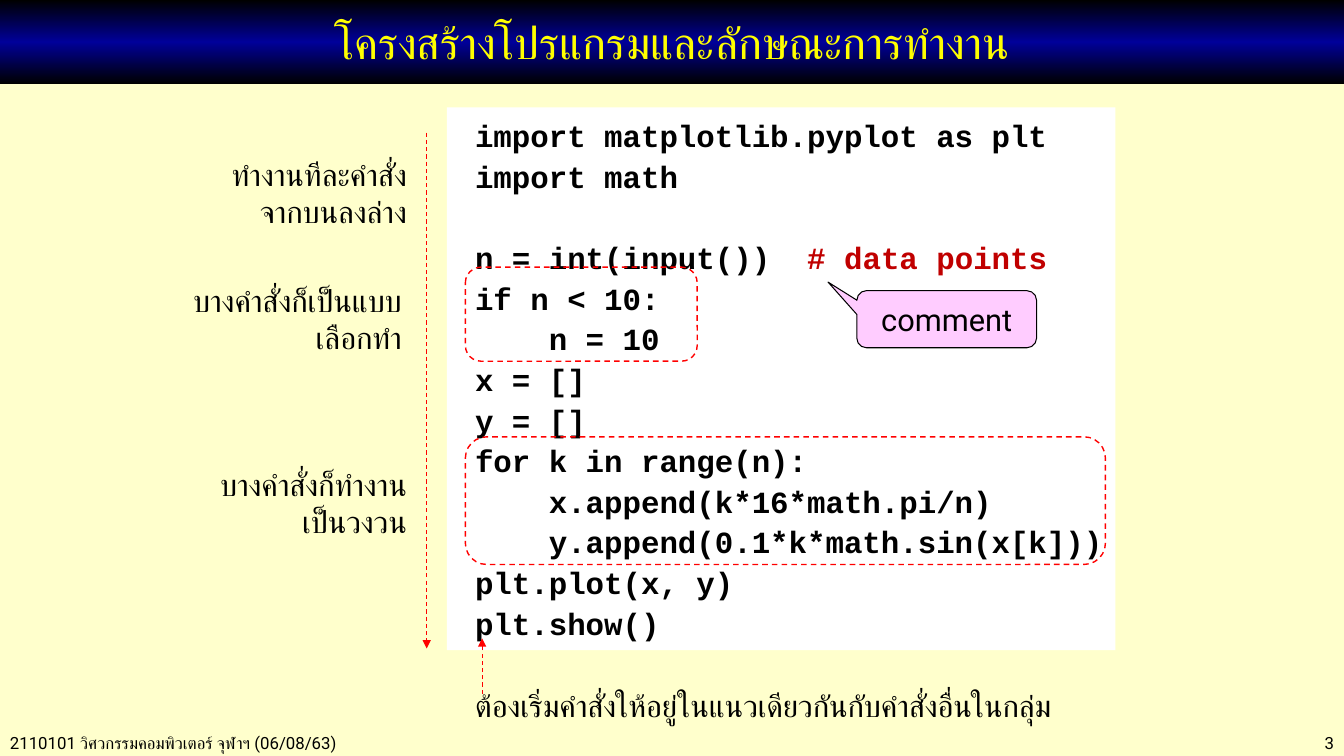
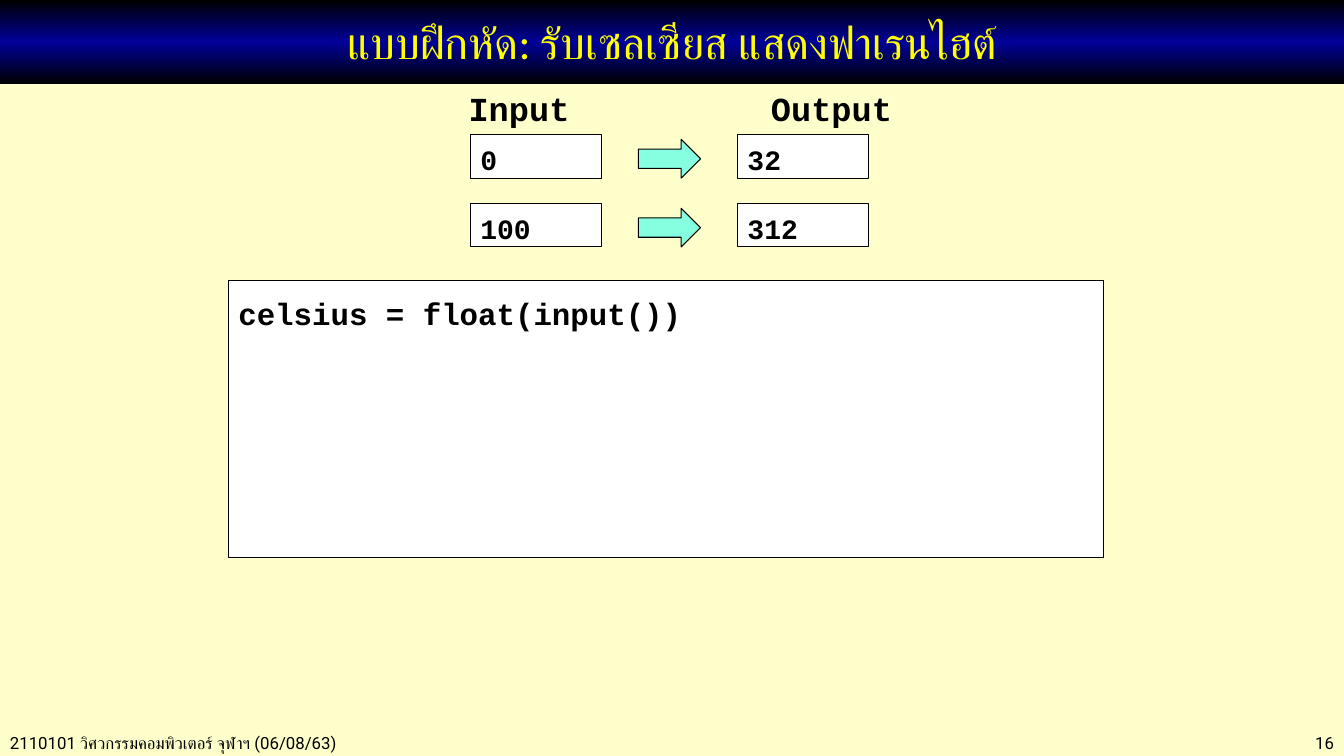
from copy import deepcopy
from dataclasses import dataclass

from lxml import etree
from pptx import Presentation, util as u
from pptx.dml.color import RGBColor
from pptx.enum import dml, shapes, text
from pptx.oxml.ns import qn


@dataclass(frozen=True)
class Theme:
    page: str = "FFFFCC"
    paper: str = "FFFFFF"
    ink: str = "000000"
    title: str = "FFFF00"
    band: tuple = (("000000", 0), ("000099", 0.5), ("000000", 1))
    comment: str = "C00000"
    mark: str = "FF0000"
    callout: str = "FFCCFF"
    arrow: str = "85FFE0"
    title_font: str = "Calibri"
    code_font: str = "Courier New"
    plain_font: str = "Roboto"
    title_size: int = 32
    heading_size: int = 24
    body_size: int = 22
    value_size: int = 20
    footer_size: int = 12
    code_leading: float = 1.32


theme = Theme()
SHAPE, ALIGN, ANCHOR = shapes.MSO_SHAPE, text.PP_ALIGN, text.MSO_ANCHOR
WIDTH, HEIGHT = u.Inches(13.33), u.Inches(7.5)
COLUMNS, ROWS = 400, 225


def draw(page, kind, cells, fill=None, line=None, weight=0.75, dash=False):
    """Place a shape, or a text box when kind is None; cells are left, top, width, height."""
    left, top, width, height = cells
    area = (int(WIDTH * left / COLUMNS), int(HEIGHT * top / ROWS),
            int(WIDTH * width / COLUMNS), int(HEIGHT * height / ROWS))
    if kind is None:
        return page.shapes.add_textbox(*area)
    shape = page.shapes.add_shape(kind, *area)
    shape.shadow.inherit = False
    if fill:
        shape.fill.solid()
        shape.fill.fore_color.rgb = RGBColor.from_string(fill)
    else:
        shape.fill.background()
    if line:
        shape.line.color.rgb = RGBColor.from_string(line)
        shape.line.width = u.Pt(weight)
        if dash:
            shape.line.dash_style = dml.MSO_LINE.DASH
    else:
        shape.line.fill.background()
    return shape


def write(box, words, font, size, color=theme.ink, align=ALIGN.LEFT,
          anchor=ANCHOR.TOP, code=False):
    """Fill a box with one paragraph per line; code is bold, evenly led, with coloured comments."""
    frame = box.text_frame
    frame.word_wrap = True
    frame.vertical_anchor = anchor
    leading = u.Pt(round(size * theme.code_leading))
    gap = 0
    for line in words.split("\n"):
        if not line:
            gap += leading
            continue
        para = frame.paragraphs[0]
        if para.runs:
            para = frame.add_paragraph()
        statement, sign, remark = line.partition("#") if code else (line, "", "")
        para.text = statement
        para.alignment = align
        para.font.name, para.font.size, para.font.bold = font, u.Pt(size), code
        para.font.color.rgb = RGBColor.from_string(color)
        if code:
            para.line_spacing = leading
        if gap:
            para.space_before = u.Emu(gap)
            gap = 0
        if sign:
            span = para.add_run()
            span.text = sign + remark
            span.font.color.rgb = RGBColor.from_string(theme.comment)


deck = Presentation()
deck.slide_width, deck.slide_height = WIDTH, HEIGHT

# Shared frame: background, title band, footer
pages = []
for title, number in [("โครงสร้างโปรแกรมและลักษณะการทำงาน", "3"),
                      ("แบบฝึกหัด: รับเซลเซียส แสดงฟาเรนไฮต์", "16")]:
    page = deck.slides.add_slide(deck.slide_layouts[6])
    page.background.fill.solid()
    page.background.fill.fore_color.rgb = RGBColor.from_string(theme.page)

    band = draw(page, SHAPE.RECTANGLE, (0, 0, COLUMNS, 25))
    band.fill.gradient()
    band.fill.gradient_angle = 90
    first = band.fill.gradient_stops[0]._gs
    first.addnext(deepcopy(first))
    for stop, (color, position) in zip(band.fill.gradient_stops, theme.band):
        stop.color.rgb = RGBColor.from_string(color)
        stop.position = position
    write(band, title, theme.title_font, theme.title_size, theme.title,
          ALIGN.CENTER, ANCHOR.MIDDLE)

    write(draw(page, None, (0, 216.5, 156, 9)),
          "2110101 วิศวกรรมคอมพิวเตอร์ จุฬาฯ (06/08/63)",
          theme.plain_font, theme.footer_size)
    write(draw(page, None, (345, 216.5, 55, 9)), number,
          theme.plain_font, theme.footer_size, align=ALIGN.RIGHT)
    pages.append(page)

structure, exercise = pages

# Program structure
program = """import matplotlib.pyplot as plt
import math

n = int(input())  # data points
if n < 10:
    n = 10
x = []
y = []
for k in range(n):
    x.append(k*16*math.pi/n)
    y.append(0.1*k*math.sin(x[k]))
plt.plot(x, y)
plt.show()"""
listing = draw(structure, SHAPE.RECTANGLE, (133, 32, 199, 161.5), theme.paper)
listing.text_frame.margin_left = u.Inches(0.28)
listing.text_frame.margin_right = 0
listing.text_frame.margin_top = u.Inches(0.06)
write(listing, program, theme.code_font, theme.body_size, code=True)

write(draw(structure, None, (138.5, 203, 199, 14)),
      "ต้องเริ่มคำสั่งให้อยู่ในแนวเดียวกันกับคำสั่งอื่นในกลุ่ม",
      theme.code_font, theme.body_size)
for left, top, note in [(55, 45, "ทำงานทีละคำสั่ง\vจากบนลงล่าง"),
                        (53.5, 82.5, "บางคำสั่งก็เป็นแบบ\vเลือกทำ"),
                        (55, 137, "บางคำสั่งก็ทำงาน\vเป็นวงวน")]:
    write(draw(structure, None, (left, top, 69, 25)), note,
          theme.code_font, theme.body_size, align=ALIGN.RIGHT)

for block in [(138.5, 79.5, 69, 28), (138.5, 130, 190.5, 38)]:
    draw(structure, SHAPE.ROUNDED_RECTANGLE, block,
         line=theme.mark, weight=1, dash=True)

callout = draw(structure, SHAPE.ROUNDED_RECTANGULAR_CALLOUT, (255, 86.5, 53.5, 17),
               theme.callout, theme.ink)
for index, value in enumerate((-0.66, -0.65, 0.17)):
    callout.adjustments[index] = value
write(callout, "comment", theme.plain_font, theme.body_size,
      align=ALIGN.CENTER, anchor=ANCHOR.MIDDLE)

for column, start, end in [(127, 39.5, 193), (143.5, 206.5, 190)]:
    x = int(WIDTH * column / COLUMNS)
    pointer = structure.shapes.add_connector(
        shapes.MSO_CONNECTOR.STRAIGHT,
        x, int(HEIGHT * start / ROWS), x, int(HEIGHT * end / ROWS))
    pointer.line.color.rgb = RGBColor.from_string(theme.mark)
    pointer.line.width = u.Pt(0.75)
    pointer.line.dash_style = dml.MSO_LINE.DASH
    outline = pointer.line._get_or_add_ln()
    etree.SubElement(outline, qn("a:tailEnd"), type="triangle")
    etree.SubElement(pointer._element.spPr, qn("a:effectLst"))

# Exercise
for left, heading in [(136.5, "Input"), (226.5, "Output")]:
    write(draw(exercise, None, (left, 23.5, 45, 15.5)), heading,
          theme.code_font, theme.heading_size, code=True)

for row, values in enumerate([("0", "32"), ("100", "312")]):
    top = 40 + 20.5 * row
    for left, value in zip((140, 219.5), values):
        box = draw(exercise, SHAPE.RECTANGLE, (left, top, 39, 13),
                   theme.paper, theme.ink)
        write(box, value, theme.code_font, theme.value_size, code=True)
    draw(exercise, SHAPE.RIGHT_ARROW, (190, top + 1.5, 18.5, 11.5),
         theme.arrow, theme.ink)

answer = draw(exercise, SHAPE.RECTANGLE, (68, 83.5, 260.5, 82.5), theme.paper, theme.ink)
answer.text_frame.margin_top = u.Inches(0.1)
write(answer, "celsius = float(input())", theme.code_font, theme.body_size, code=True)

deck.save("out.pptx")
